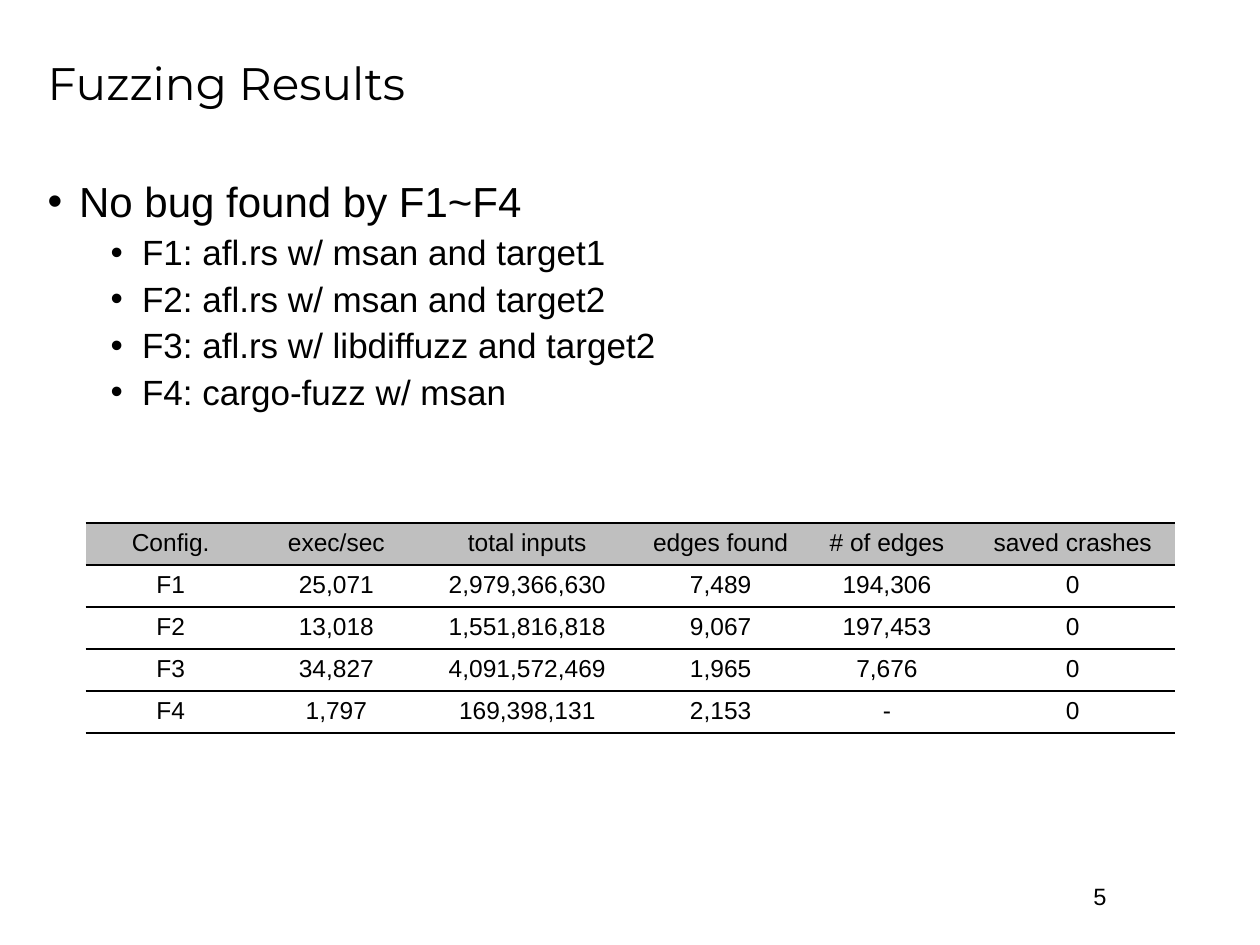
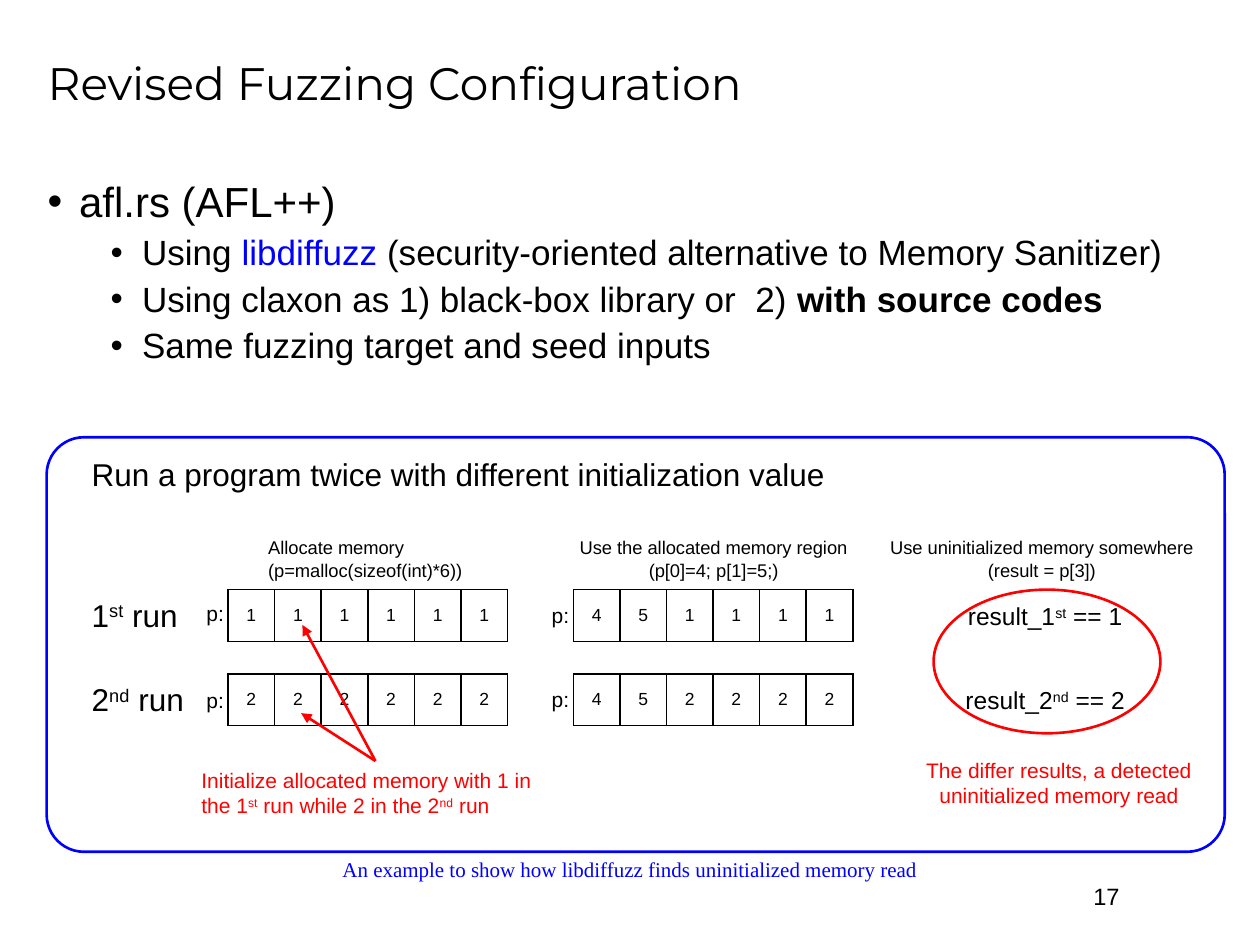
import lxml.etree
import pptx
import pptx.dml.color
import pptx.enum.shapes
import pptx.enum.text
import pptx.oxml.ns
import pptx.util

Inches = pptx.util.Inches
Pt = pptx.util.Pt
RGBColor = pptx.dml.color.RGBColor
Align = pptx.enum.text.PP_ALIGN
Anchor = pptx.enum.text.MSO_ANCHOR
Shape = pptx.enum.shapes.MSO_SHAPE
qn = pptx.oxml.ns.qn

BLACK = RGBColor(0x00, 0x00, 0x00)
BLUE = RGBColor(0x00, 0x00, 0xFF)
RED = RGBColor(0xFF, 0x00, 0x00)
HEADER_GRAY = RGBColor(0xBF, 0xBF, 0xBF)
BODY_FONT = "Arial"
TITLE_FONT = "Montserrat"
CAPTION_FONT = "Times New Roman"
LINE_WIDTH = 1.5

RESULTS = [
    ["Config.", "exec/sec", "total inputs", "edges found", "# of edges", "saved crashes"],
    ["F1", "25,071", "2,979,366,630", "7,489", "194,306", "0"],
    ["F2", "13,018", "1,551,816,818", "9,067", "197,453", "0"],
    ["F3", "34,827", "4,091,572,469", "1,965", "7,676", "0"],
    ["F4", "1,797", "169,398,131", "2,153", "-", "0"],
]
RESULT_WIDTHS = [1.35, 1.28, 1.75, 1.32, 1.32, 1.63]


def raised(text):
    return text, {"raised": True}


def write_runs(paragraph, content, size, color=BLACK, font=BODY_FONT):
    pieces = [content] if isinstance(content, str) else content
    for piece in pieces:
        text, style = (piece, {}) if isinstance(piece, str) else piece
        run = paragraph.add_run()
        run.text = text
        run.font.size = Pt(size)
        run.font.name = font
        run.font.bold = style.get("bold", False)
        run.font.color.rgb = style.get("color", color)
        if style.get("raised"):
            run.font._element.set("baseline", "30000")


def add_text(slide, box, lines, size, color=BLACK, font=BODY_FONT,
             align=Align.LEFT, wrap=False, anchor=Anchor.TOP):
    frame = slide.shapes.add_textbox(*map(Inches, box)).text_frame
    frame.word_wrap = wrap
    frame.vertical_anchor = anchor
    for index, line in enumerate(lines):
        paragraph = frame.paragraphs[0] if index == 0 else frame.add_paragraph()
        paragraph.alignment = align
        write_runs(paragraph, line, size, color, font)
    return frame


def add_bullet(paragraph, content, level):
    paragraph.level = level
    paragraph.line_spacing = 0.9
    paragraph.space_before = Pt(5 if level else 10)
    properties = paragraph._p.get_or_add_pPr()
    properties.set("marL", str(Inches(0.75 if level else 0.25)))
    properties.set("indent", str(-Inches(0.25)))
    bullet_font = lxml.etree.SubElement(properties, qn("a:buFont"))
    bullet_font.set("typeface", BODY_FONT)
    lxml.etree.SubElement(properties, qn("a:buChar")).set("char", "•")
    write_runs(paragraph, content, 20 if level else 24)


def add_page(deck, title, topic, points, number):
    slide = deck.slides.add_slide(deck.slide_layouts[6])
    add_text(slide, (8.58, 6.95, 0.43, 0.33), [str(number)], 13.5)
    heading = add_text(slide, (0.28, 0.17, 9.44, 1.03), [title], 26,
                       font=TITLE_FONT, wrap=True, anchor=Anchor.MIDDLE)
    heading.paragraphs[0].line_spacing = 0.9
    body = add_text(slide, (0.28, 1.39, 9.44, 5.37), [], 24, wrap=True)
    add_bullet(body.paragraphs[0], topic, 0)
    for point in points:
        add_bullet(body.add_paragraph(), point, 1)
    return slide


def set_borders(cell, ruled_sides):
    properties = cell._tc.get_or_add_tcPr()
    for side in "LRTB":
        border = lxml.etree.SubElement(properties, qn("a:ln" + side))
        border.set("w", str(Pt(1)))
        if side in ruled_sides:
            fill = lxml.etree.SubElement(border, qn("a:solidFill"))
            lxml.etree.SubElement(fill, qn("a:srgbClr")).set("val", str(BLACK))
        else:
            lxml.etree.SubElement(border, qn("a:noFill"))


def add_grid(slide, left, top, widths, row_height, rows, size, ruled_sides,
             header_fill=None, anchor=Anchor.TOP):
    grid = slide.shapes.add_table(
        len(rows), len(widths), Inches(left), Inches(top),
        Inches(sum(widths)), Inches(row_height * len(rows))).table
    grid.first_row = False
    grid.horz_banding = False
    for column, width in zip(grid.columns, widths):
        column.width = Inches(width)
    for row_index, values in enumerate(rows):
        grid.rows[row_index].height = Inches(row_height)
        for column_index, value in enumerate(values):
            cell = grid.cell(row_index, column_index)
            set_borders(cell, ruled_sides)
            if header_fill is not None and row_index == 0:
                cell.fill.solid()
                cell.fill.fore_color.rgb = header_fill
            else:
                cell.fill.background()
            cell.vertical_anchor = anchor
            paragraph = cell.text_frame.paragraphs[0]
            paragraph.alignment = Align.CENTER
            write_runs(paragraph, value, size)


def add_memory(slide, left, top, values, label_left, label_top):
    add_grid(slide, left, top, [0.37] * len(values), 0.41, [values], 10,
             "LRTB", anchor=Anchor.MIDDLE)
    add_text(slide, (label_left, label_top, 0.34, 0.3), ["p:"], 12)


def add_outline(slide, kind, box, color):
    outline = slide.shapes.add_shape(kind, *map(Inches, box))
    outline.shadow.inherit = False
    outline.fill.background()
    outline.line.color.rgb = color
    outline.line.width = Pt(LINE_WIDTH)
    return outline


def add_arrow(slide, start, end, color):
    arrow = slide.shapes.add_connector(
        pptx.enum.shapes.MSO_CONNECTOR.STRAIGHT, *map(Inches, start + end))
    arrow.line.color.rgb = color
    arrow.line.width = Pt(LINE_WIDTH)
    line = arrow.line._get_or_add_ln()
    lxml.etree.SubElement(line, qn("a:tailEnd")).set("type", "triangle")
    lxml.etree.SubElement(arrow._element.spPr, qn("a:effectLst"))


def build_results(deck):
    slide = add_page(deck, "Fuzzing Results", "No bug found by F1~F4", [
        "F1: afl.rs w/ msan and target1",
        "F2: afl.rs w/ msan and target2",
        "F3: afl.rs w/ libdiffuzz and target2",
        "F4: cargo-fuzz w/ msan",
    ], 5)
    add_grid(slide, 0.68, 4.15, RESULT_WIDTHS, 0.32, RESULTS, 14, "TB", HEADER_GRAY)


def build_configuration(deck):
    slide = add_page(deck, "Revised Fuzzing Configuration", "afl.rs (AFL++)", [
        ["Using ", ("libdiffuzz", {"color": BLUE}),
         " (security-oriented alternative to Memory Sanitizer)"],
        ["Using claxon as 1) black-box library or  2) ",
         ("with source codes", {"bold": True})],
        "Same fuzzing target and seed inputs",
    ], 17)

    runs = [("1", "st", 4.68, 4.72, 4.73), ("2", "nd", 5.35, 5.41, 5.40)]
    for value, ordinal, top, allocated_label, used_label in runs:
        add_text(slide, (0.63, top, 0.96, 0.4), [[value, raised(ordinal), " run"]], 18)
        add_memory(slide, 1.81, top, [value] * 6, 1.54, allocated_label)
        add_memory(slide, 4.55, top, ["4", "5"] + [value] * 4, 4.28, used_label)
        add_text(slide, (7.33, top + 0.04, 1.93, 0.34),
                 [["result_" + value, raised(ordinal), " == " + value]], 14,
                 align=Align.CENTER, wrap=True)

    steps = [
        (2.03, 1.77, Align.LEFT, ["Allocate memory", "(p=malloc(sizeof(int)*6))"]),
        (4.48, 2.37, Align.CENTER,
         ["Use the allocated memory region", "(p[0]=4; p[1]=5;)"]),
        (6.94, 2.66, Align.CENTER,
         ["Use uninitialized memory somewhere", "(result = p[3])"]),
    ]
    for left, width, align, lines in steps:
        add_text(slide, (left, 4.21, width, 0.45), lines, 10.5, align=align)

    add_text(slide, (2.54, 6.75, 4.92, 0.3),
             ["An example to show how libdiffuzz finds uninitialized memory read"],
             12, BLUE, CAPTION_FONT, Align.CENTER, wrap=True)
    example_frame = add_outline(slide, Shape.ROUNDED_RECTANGLE,
                                (0.37, 3.47, 9.35, 3.29), BLUE)
    example_frame.adjustments[0] = 0.09
    add_text(slide, (0.63, 3.56, 6.07, 0.4),
             ["Run a program twice with different initialization value"], 18)

    add_text(slide, (1.5, 6.04, 2.95, 0.5),
             [["Initialize allocated memory with 1 in the 1", raised("st"),
               " run while 2 in the 2", raised("nd"), " run"]],
             12, RED, wrap=True)
    for target in [(2.4, 4.96), (2.39, 5.66)]:
        add_arrow(slide, (2.98, 6.04), target, RED)

    add_text(slide, (7.12, 5.96, 2.57, 0.5),
             ["The differ results, a detected uninitialized memory read"],
             12, RED, align=Align.CENTER, wrap=True)
    add_outline(slide, Shape.OVAL, (7.41, 4.68, 1.8, 1.14), RED)


def main():
    deck = pptx.Presentation()
    deck.slide_width = Inches(10)
    deck.slide_height = Inches(7.5)
    build_results(deck)
    build_configuration(deck)
    deck.save("out.pptx")


main()
